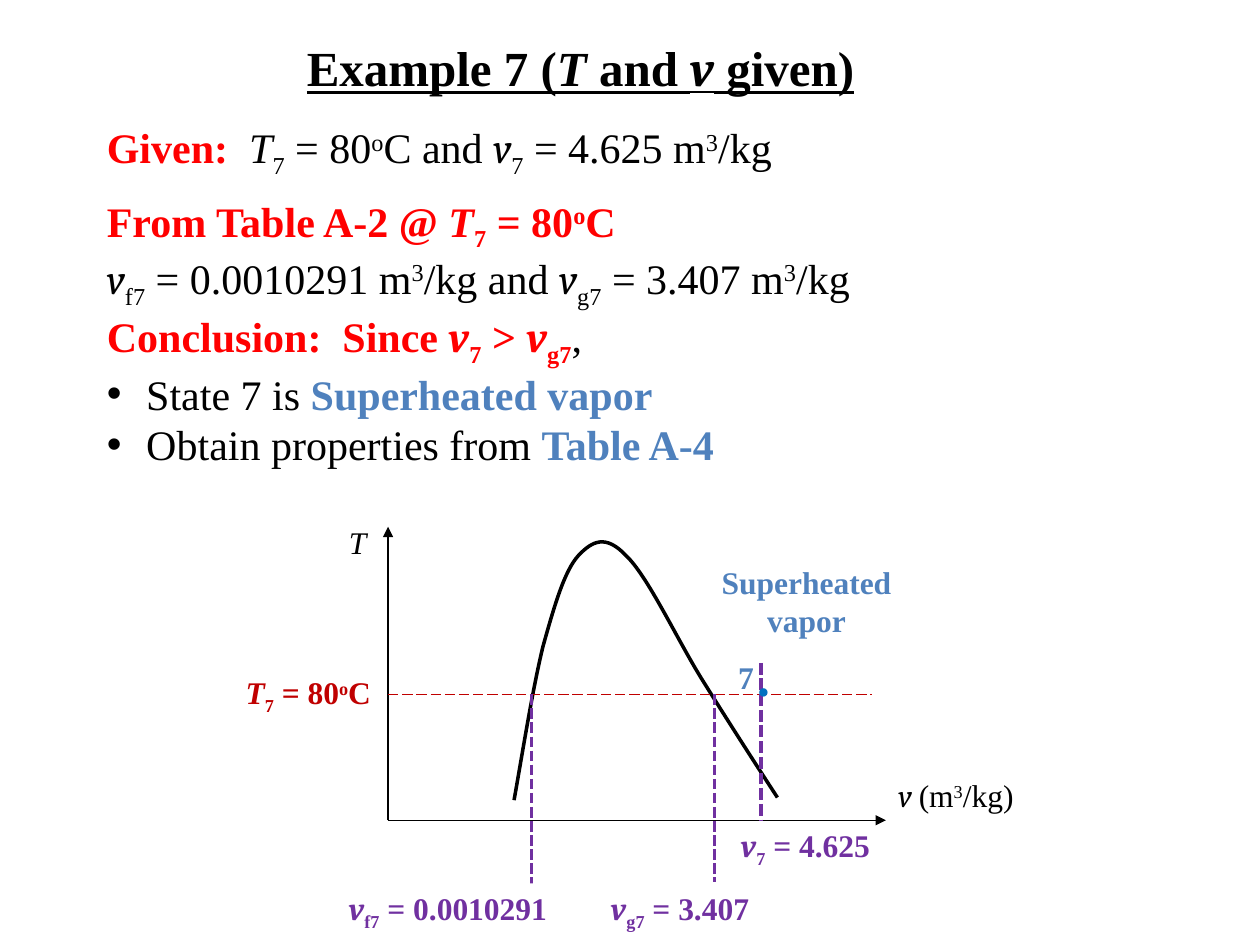
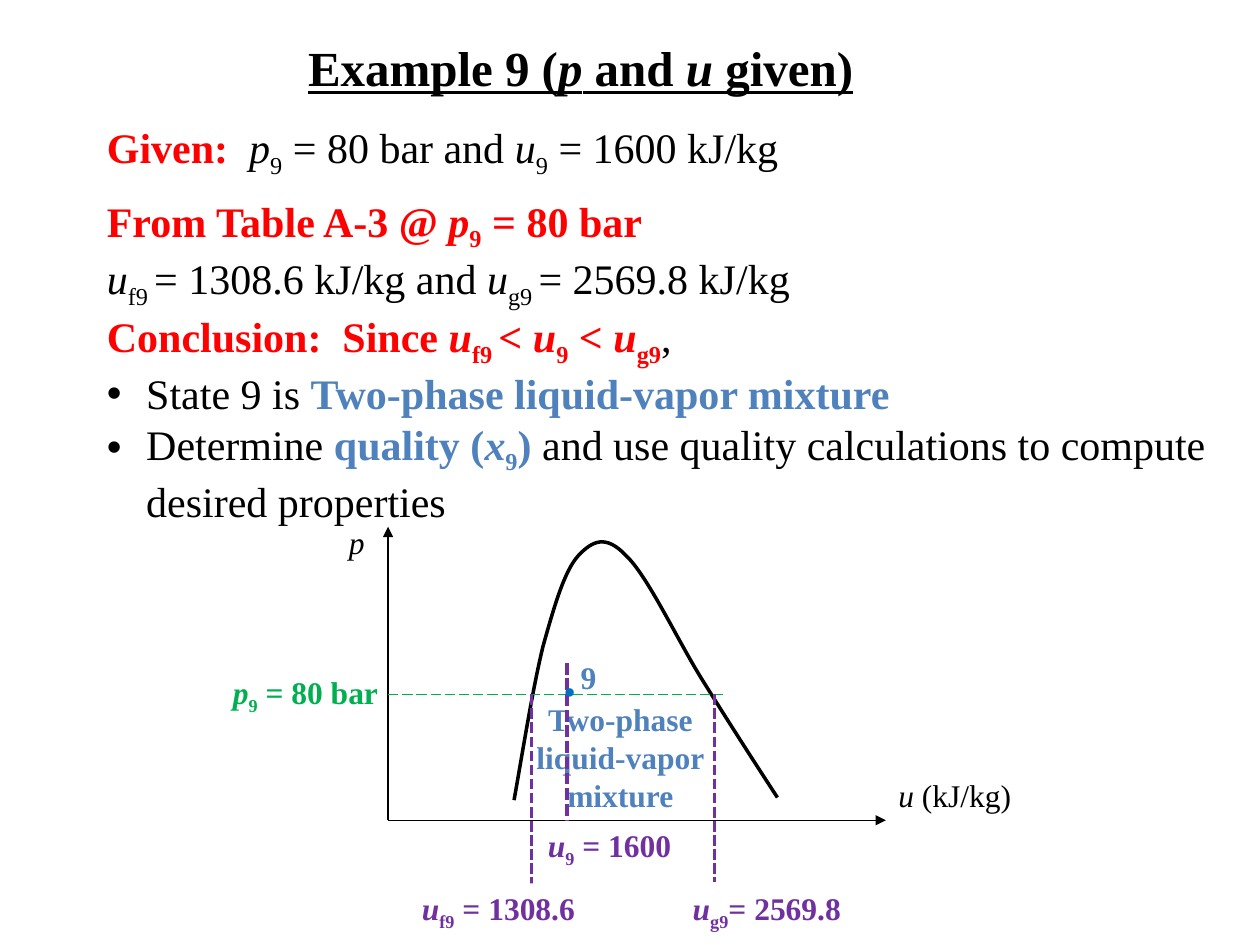
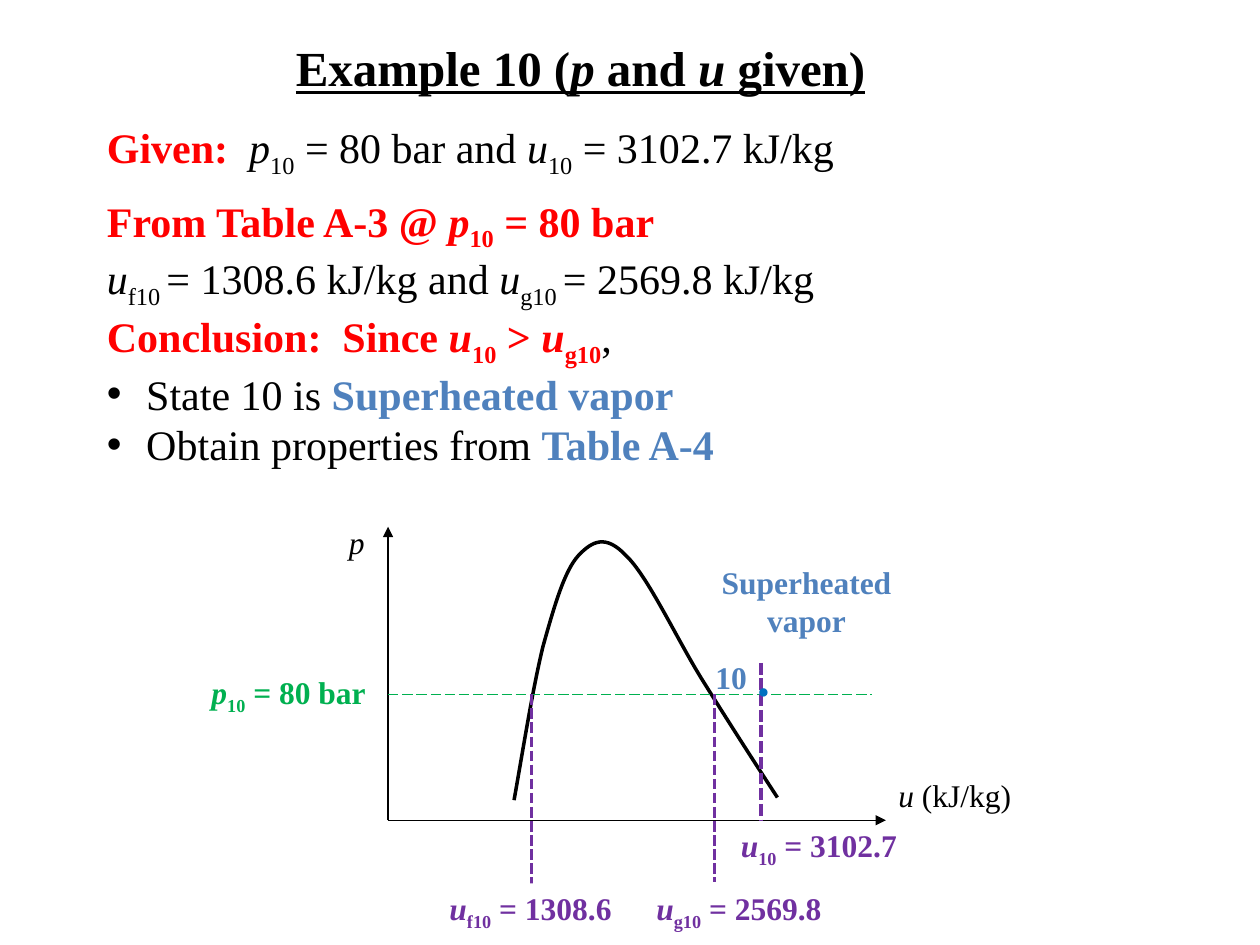
from dataclasses import dataclass, replace
from itertools import chain

from lxml import etree
from pptx import Presentation
from pptx.dml.color import RGBColor
from pptx.enum.dml import MSO_LINE
from pptx.enum.shapes import MSO_CONNECTOR, MSO_SHAPE
from pptx.enum.text import MSO_ANCHOR, MSO_AUTO_SIZE, PP_ALIGN
from pptx.oxml.ns import qn
from pptx.util import Pt

STRAIGHT, RECTANGLE = MSO_CONNECTOR.STRAIGHT, MSO_SHAPE.RECTANGLE
LONG_DASH, SHORT_DASH = MSO_LINE.LONG_DASH, MSO_LINE.SQUARE_DOT
TOP, FIT = MSO_ANCHOR.TOP, MSO_AUTO_SIZE.SHAPE_TO_FIT_TEXT
LEFT, CENTER = PP_ALIGN.LEFT, PP_ALIGN.CENTER
TITLE_ONLY = 5
SUB, SUP = -25000, 30000


@dataclass(frozen=True)
class Theme:
    font: str = "Times New Roman"
    volume_font: str = "Cambria"  # tells the letter v from nu
    title: int = 28
    body: int = 24
    dot: int = 20
    label: int = 18
    ink: str = "000000"
    paper: str = "FFFFFF"
    heading: str = "FF0000"
    region: str = "4F81BD"
    volume: str = "7030A0"
    state: str = "0070C0"
    temperature: str = "C00000"
    pressure: str = "00B050"


THEME = Theme()


@dataclass(frozen=True)
class Piece:
    text: str
    italic: bool = False
    base: int = 0
    color: str = THEME.ink
    bold: bool = False
    underline: bool = False


# ---- Text notation ----
def line(*parts):
    """Join strings, pieces and lists of pieces into one list of pieces."""
    return list(chain.from_iterable(
        [Piece(part)] if isinstance(part, str) else
        [part] if isinstance(part, Piece) else part for part in parts))


def strong(color, *parts):
    return [replace(piece, color=color, bold=True) for piece in line(*parts)]


def symbol(letter, index=""):
    pieces = [Piece(letter, italic=True)]
    return pieces + [Piece(index, base=SUB)] if index else pieces


def raised(text):
    return Piece(text, base=SUP)


def write(paragraph, pieces, size, align=LEFT):
    paragraph.alignment = align
    for piece in pieces:
        run = paragraph.add_run()
        run.text = piece.text
        font = run.font
        font.name = THEME.volume_font if piece.italic and piece.text.strip() == "v" else THEME.font
        font.size = Pt(size)
        font.bold, font.italic, font.underline = piece.bold, piece.italic, piece.underline
        font.color.rgb = RGBColor.from_string(piece.color)
        if piece.base:
            run._r.get_or_add_rPr().set("baseline", str(piece.base))


def fill_frame(frame, lines, size, align=LEFT, wrap=False):
    frame.word_wrap, frame.auto_size, frame.vertical_anchor = wrap, FIT, TOP
    for number, pieces in enumerate(lines):
        paragraph = frame.add_paragraph() if number else frame.paragraphs[0]
        write(paragraph, pieces, size, align)
    return frame


def add_text(slide, box, lines, size=THEME.label, align=LEFT, wrap=False):
    textbox = slide.shapes.add_textbox(*map(Pt, box))
    return fill_frame(textbox.text_frame, lines, size, align, wrap)


def add_bullet(paragraph, indent=22.5):
    properties = paragraph._p.get_or_add_pPr()
    properties.set("marL", str(Pt(indent)))
    properties.set("indent", str(-Pt(indent)))
    etree.SubElement(properties, qn("a:buFont")).set("typeface", "Arial")
    etree.SubElement(properties, qn("a:buChar")).set("char", "\u2022")


# ---- Drawing ----
def add_line(slide, start, end, color, width, dash=None, arrow=False):
    connector = slide.shapes.add_connector(STRAIGHT, *map(Pt, (*start, *end)))
    connector.line.color.rgb = RGBColor.from_string(color)
    connector.line.width = Pt(width)
    if dash:
        connector.line.dash_style = dash
    if arrow:
        etree.SubElement(connector.line._get_or_add_ln(), qn("a:tailEnd")).set("type", "triangle")
    etree.SubElement(connector._element.spPr, qn("a:effectLst"))


def add_plate(slide, box, pieces):
    plate = slide.shapes.add_shape(RECTANGLE, *map(Pt, box))
    plate.shadow.inherit = False
    plate.fill.solid()
    plate.fill.fore_color.rgb = RGBColor.from_string(THEME.paper)
    plate.line.fill.background()
    fill_frame(plate.text_frame, [pieces], THEME.label)


# Saturation dome: a start, then two handles and an end for each curve
DOME = [(72, 156.25),
        (77.75, 123.75), (82.75, 92.25), (88.5, 68.5),
        (95, 45.25), (100.75, 25.25), (108.75, 16.5),
        (116.75, 8), (124.5, 4.25), (136, 16.5),
        (148.25, 28), (165, 64), (179.25, 87),
        (193.75, 110.25), (208, 132.5), (222.5, 154.75)]


def add_dome(slide, left, top):
    points = [(Pt(left + x), Pt(top + y)) for x, y in DOME]
    builder = slide.shapes.build_freeform(*points[0], scale=1.0)
    builder.add_line_segments(points[1:], close=False)
    dome = builder.convert_to_shape()
    dome.shadow.inherit = False
    dome.fill.background()
    dome.line.color.rgb = RGBColor.from_string(THEME.ink)
    dome.line.width = Pt(2)
    # Turn each three straight segments into one cubic curve
    outline = next(dome._element.iter(qn("a:path")))
    segments = outline.findall(qn("a:lnTo"))
    for first in range(0, len(segments), 3):
        curve = etree.SubElement(outline, qn("a:cubicBezTo"))
        for segment in segments[first:first + 3]:
            curve.append(segment[0])
            outline.remove(segment)


# ---- Regions of an example slide ----
def place_title(slide, box, pieces):
    title = slide.shapes.title
    title.left, title.top, title.width, title.height = map(Pt, box)
    underlined = [replace(piece, underline=True) for piece in strong(THEME.ink, pieces)]
    fill_frame(title.text_frame, [underlined], THEME.title, CENTER)


def place_reasoning(slide, box, example):
    left, top, width, height = box
    red = THEME.heading
    add_text(slide, (left, top, example.given_width, 65.5),
             [line(strong(red, "Given:  "), example.given)], THEME.body)
    add_text(slide, (left, top + 42, example.lookup_width, 65.5),
             [strong(red, example.lookup), example.saturation], THEME.body)
    conclusion = add_text(
        slide, (left, top + 108, width, height - 108),
        [line(strong(red, "Conclusion:  Since ", example.test), ","),
         line(f"State {example.number} is ", strong(THEME.region, example.phase)),
         example.advice], THEME.body, wrap=True)
    for paragraph in conclusion.paragraphs[1:]:
        add_bullet(paragraph)


def place_diagram(slide, box, example):
    left, top, width, height = box
    level = 95.75              # the given temperature or pressure
    liquid, vapor = 82, 186.5  # where that level meets the dome
    state = example.state_x
    purple = THEME.volume

    def at(x, y):
        return left + x, top + y

    def label(span, y, pieces):
        add_text(slide, (*at(span[0], y), span[1], 29), [pieces])

    # Region and state value
    label(example.value_span, height, strong(purple, example.value))
    add_text(slide, (*at(*example.region_box[:2]), *example.region_box[2:]),
             [strong(THEME.region, text) for text in example.region], align=CENTER)

    # Axes, dome and level
    add_line(slide, at(0, height), at(0, 0), THEME.ink, 0.75, arrow=True)
    add_dome(slide, left, top)
    label((-29.5, 24), -5.75, symbol(example.y_axis))
    label((width, example.x_axis_width), height - 28.75, example.x_axis)
    add_line(slide, at(0, level), at(example.level_end, level), example.level_color,
             0.75, LONG_DASH)
    label(example.level_span, level - 15.75, strong(example.level_color, example.level))

    # Saturated liquid, saturated vapor and the state itself
    add_line(slide, at(liquid, level), at(liquid, 226.75), purple, 2, SHORT_DASH)
    add_line(slide, at(vapor, level), at(vapor, 203), purple, 2, SHORT_DASH)
    add_plate(slide, (*at(example.vapor_span[0], 203.75), example.vapor_span[1], 29),
              strong(purple, example.vapor))
    add_line(slide, at(0, height), at(width, height), THEME.ink, 0.75, arrow=True)
    add_line(slide, at(state, level - 18), at(state, height), purple, 2.25, SHORT_DASH)
    add_text(slide, (*at(state - 9, level - 18), 21.5, 31.5),
             [[Piece("\u2022", color=THEME.state)]], THEME.dot)
    add_plate(slide, (*at(example.liquid_span[0], 203.75), example.liquid_span[1], 29),
              strong(purple, example.liquid))
    label(example.number_span, level - 24.5, strong(THEME.region, example.number))


# ---- Content; a span is (left, width) from the diagram's origin ----
@dataclass
class Example:
    number: str
    title_width: float
    title: list
    given_width: float
    given: list
    lookup_width: float
    lookup: list
    saturation: list
    test: list
    phase: str
    advice: list
    reasoning_height: float
    region: list
    region_box: tuple
    y_axis: str
    x_axis: list
    x_axis_width: float
    level: list
    level_color: str
    level_span: tuple
    level_end: float
    state_x: float
    value: list
    value_span: tuple
    liquid: list
    liquid_span: tuple
    vapor: list
    vapor_span: tuple
    number_span: tuple


SUPERHEATED = dict(
    phase="Superheated vapor",
    advice=line("Obtain properties from ", strong(THEME.region, "Table A-4")),
    reasoning_height=202.25, region=["Superheated", "vapor"],
    region_box=(183, 17.25, 112.25, 51), level_end=276.5, state_x=213)


def title_line(number, first, second):
    return line(f"Example {number} (", symbol(first), " and ", symbol(second), " given)")


def pressure_energy(number, energy, **rest):
    """The parts shared by the examples with p and u given."""
    pressure = line(symbol("p", number), " = 80 bar")
    return Example(
        number=number, title=title_line(number, "p", "u"),
        given=line(pressure, " and ", symbol("u", number), f" = {energy} kJ/kg"),
        lookup=line("From Table A-3 @ ", pressure),
        saturation=line(symbol("u", f"f{number} "), "= 1308.6 kJ/kg and ",
                        symbol("u", f"g{number} "), "= 2569.8 kJ/kg"),
        y_axis="p", x_axis=line(symbol("u "), "(kJ/kg)"), x_axis_width=80,
        level=pressure, level_color=THEME.pressure,
        value=line(symbol("u", number), f" = {energy}"),
        liquid=line(symbol("u", f"f{number}"), " = 1308.6"), **rest)


CUBIC = line(" m", raised("3"), "/kg")
HOT = line(symbol("T", "7"), " = 80", raised("o"), "C")

EXAMPLES = [
    Example(
        number="7", title_width=333.5, title=title_line("7", "T", "v"),
        given_width=404, given=line(HOT, " and ", symbol("v", "7"), " = 4.625", CUBIC),
        lookup_width=452, lookup=line("From Table A-2 @ ", HOT),
        saturation=line(symbol("v", "f7"), " = 0.0010291", CUBIC, " and ",
                        symbol("v", "g7"), " = 3.407", CUBIC),
        test=line(symbol("v", "7"), " > ", symbol("v", "g7")),
        y_axis="T", x_axis=line(symbol("v "), "(m", raised("3"), "/kg)"), x_axis_width=83.5,
        level=HOT, level_color=THEME.temperature, level_span=(-88.5, 88.5),
        value=line(symbol("v", "7"), " = 4.625"), value_span=(194.5, 90.75),
        liquid=line(symbol("v", "f7"), " = 0.0010291"), liquid_span=(-29.5, 130.25),
        vapor=line(symbol("v", "g7"), " = 3.407"), vapor_span=(120.25, 97.25),
        number_span=(193, 23.75), **SUPERHEATED),
    pressure_energy(
        "9", "1600", title_width=333.5, given_width=405.5, lookup_width=417.5,
        test=line(symbol("u", "f9 "), "< ", symbol("u", "9"), " < ", symbol("u", "g9")),
        phase="Two-phase liquid-vapor mixture",
        advice=line("Determine ",
                    strong(THEME.region, "quality (", symbol("x", "9"), ")"),
                    " and use quality calculations to compute desired properties"),
        reasoning_height=232, region=["Two-phase", "liquid-vapor", "mixture"],
        region_box=(77, 95.75, 111.5, 72.75), level_end=191.5, state_x=102.25,
        level_span=(-95.75, 99.5), value_span=(84.25, 86.5), liquid_span=(12.25, 104.5),
        vapor=line(symbol("u", "g9"), "= 2569.8"), vapor_span=(167, 101.5),
        number_span=(103, 23.75)),
    pressure_energy(
        "10", "3102.7", title_width=347, given_width=438.5, lookup_width=433.5,
        test=line(symbol("u", "10"), " > ", symbol("u", "g10")),
        level_span=(-108, 107.25), value_span=(194.5, 105.75), liquid_span=(28, 110),
        vapor=line(symbol("u", "g10"), " = 2569.8"), vapor_span=(146.25, 112.25),
        number_span=(180, 32.5), **SUPERHEATED),
]


def build_example(deck, example):
    slide = deck.slides.add_slide(deck.slide_layouts[TITLE_ONLY])
    title_center = 331.75
    place_title(slide, (title_center - example.title_width / 2, 18, example.title_width, 41),
                example.title)
    place_reasoning(slide, (54, 66, 648, example.reasoning_height), example)
    place_diagram(slide, (221.75, 301, 284.5, 167.75), example)


deck = Presentation()
deck.slide_width, deck.slide_height = Pt(720), Pt(540)
for each in EXAMPLES:
    build_example(deck, each)
deck.save("out.pptx")
